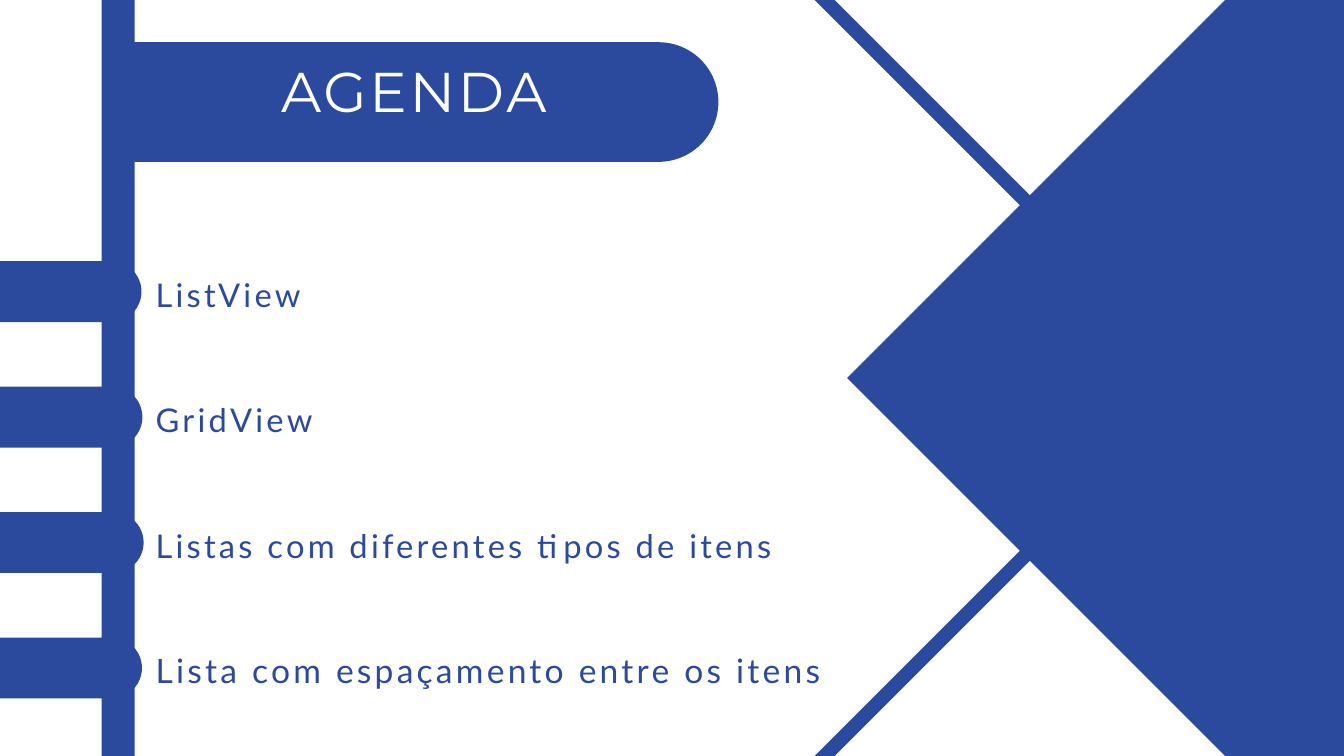
import dataclasses

import pptx
import pptx.dml.color
import pptx.enum.shapes
import pptx.enum.text
import pptx.util

Pt = pptx.util.Pt
SHAPES = pptx.enum.shapes.MSO_SHAPE
ALIGN = pptx.enum.text.PP_ALIGN


@dataclasses.dataclass(frozen=True)
class Theme:
    blue = pptx.dml.color.RGBColor.from_string("2B4A9D")
    white = pptx.dml.color.RGBColor.from_string("FFFFFF")
    title_font = "Montserrat"
    body_font = "Lato"
    title_size = 60
    item_size = 35
    last_item_size = 36


theme = Theme()
presentation = pptx.Presentation()
presentation.slide_width = Pt(1440)
presentation.slide_height = Pt(810)
slide = presentation.slides.add_slide(presentation.slide_layouts[6])


def add_block(kind, center_x, center_y, width, height, color, rotation=0, adjustments=()):
    """Add a plain filled shape, placed by its centre so that rotation keeps it there."""
    shape = slide.shapes.add_shape(
        kind, Pt(center_x - width / 2), Pt(center_y - height / 2), Pt(width), Pt(height))
    shape.rotation = rotation
    for index, value in enumerate(adjustments):
        shape.adjustments[index] = value
    shape.shadow.inherit = False
    shape.fill.solid()
    shape.fill.fore_color.rgb = color
    shape.line.fill.background()


def add_label(text, left, top, width, height, font, size, color, line_height, tracking, align):
    box = slide.shapes.add_textbox(Pt(left), Pt(top), Pt(width), Pt(height))
    frame = box.text_frame
    frame.word_wrap = True
    frame.margin_left = frame.margin_top = frame.margin_right = frame.margin_bottom = 0
    paragraph = frame.paragraphs[0]
    paragraph.alignment = align
    paragraph.line_spacing = Pt(line_height)
    paragraph.font.name = font
    paragraph.font.size = Pt(size)
    paragraph.font.color.rgb = color
    run = paragraph.add_run()
    run.text = text
    run._r.get_or_add_rPr().set("spc", str(int(tracking * 100)))


# Vertical bar
add_block(SHAPES.RECTANGLE, 126.5, 405, 35.3, 810, theme.blue)

# Large diamond with its white rim, then the thin diamond outlines below and above
add_block(SHAPES.RECTANGLE, 1445.2, 405, 801.4, 801.4, theme.blue, 45)
add_block(SHAPES.FRAME, 1397, 405, 739.4, 739.4, theme.white, 45, [0.0317])
for center_y in (876, -66):
    add_block(SHAPES.FRAME, 1150, center_y, 485.3, 485.3, theme.blue, 45, [0.0313])

# Title banner: flat on the left, round on the right
add_block(SHAPES.ROUND_2_SAME_RECTANGLE, 456.5, 109.3, 128.2, 626.4, theme.blue, 90, [0.5, 0])
add_label("AGENDA", 167, 69.1, 553, 70.6, theme.title_font, theme.title_size,
          theme.white, 63, 3, ALIGN.CENTER)

# Agenda items, each with a tab on the left edge
items = [
    ("ListView", 74.2, 674, theme.item_size),
    ("GridView", 75.2, 787, theme.item_size),
    ("Listas com diferentes tipos de itens", 76.5, 698, theme.item_size),
    ("Lista com espaçamento entre os itens", 74.7, 751, theme.last_item_size),
]
for row, (text, tab_center, width, size) in enumerate(items):
    center_y = 312.5 + 134.4 * row
    add_block(SHAPES.ROUND_2_SAME_RECTANGLE, tab_center, center_y, 65.2, 154.8,
              theme.blue, 90, [0.5, 0])
    add_label(text, 166.7, center_y - 25.2, width, 49.7, theme.body_font, size,
              theme.blue, 49, 3.5, ALIGN.LEFT)

presentation.save("out.pptx")
